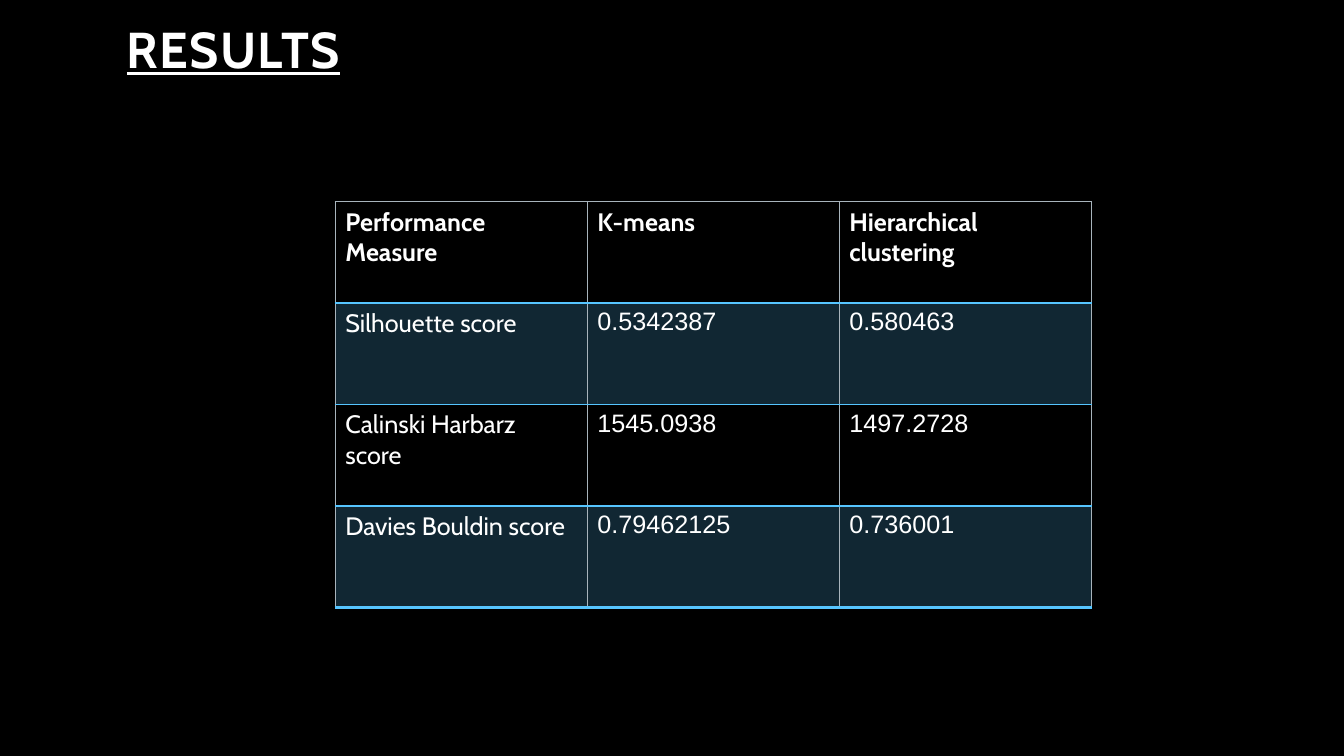
from typing import NamedTuple

from lxml import etree
from pptx import Presentation
from pptx.dml.color import RGBColor
from pptx.enum.text import MSO_ANCHOR, MSO_AUTO_SIZE, PP_ALIGN
from pptx.oxml.ns import qn
from pptx.util import Pt

BLACK = RGBColor(0x00, 0x00, 0x00)
WHITE = RGBColor(0xFF, 0xFF, 0xFF)
SKY = RGBColor(0x56, 0xC5, 0xFF)
SILVER = RGBColor(0xA8, 0xB4, 0xBC)
LEFT, BOTTOM = PP_ALIGN.LEFT, MSO_ANCHOR.BOTTOM
NO_AUTOFIT = MSO_AUTO_SIZE.NONE
TITLE_ONLY = 5
TEXT_FONT, NUMBER_FONT = "Cabin", "Arial"
COL_WIDTH, ROW_HEIGHT = 180, 72.5
BAND_OPACITY = 20


class Score(NamedTuple):
    measure: str
    k_means: str
    hierarchical: str


class Border(NamedTuple):
    side: str
    color: RGBColor
    width: float


HEADER = Score("Performance Measure", "K-means", "Hierarchical clustering")
SCORES = [
    Score("Silhouette score", "0.5342387", "0.580463"),
    Score("Calinski Harbarz score", "1545.0938", "1497.2728"),
    Score("Davies Bouldin score", "0.79462125", "0.736001"),
]


def style_text(tf, font: str, size: float, bold: bool) -> None:
    for p in tf.paragraphs:
        p.alignment = LEFT
        for r in p.runs:
            r.font.name = font
            r.font.size = Pt(size)
            r.font.bold = bold
            r.font.color.rgb = WHITE


def add_border(cell, border: Border) -> None:
    tc_pr = cell._tc.get_or_add_tcPr()
    ln = etree.SubElement(tc_pr, qn(f"a:ln{border.side}"), w=str(Pt(border.width)))
    fill = etree.SubElement(ln, qn("a:solidFill"))
    etree.SubElement(fill, qn("a:srgbClr"), val=str(border.color))


def fill_band(cell) -> None:
    """Give the cell a translucent blue fill."""
    cell.fill.solid()
    cell.fill.fore_color.rgb = SKY
    color = cell._tc.tcPr.find(qn("a:solidFill")).find(qn("a:srgbClr"))
    etree.SubElement(color, qn("a:alpha"), val=str(BAND_OPACITY * 1000))


def row_borders(row: int, last: int) -> list[Border]:
    """Borders in the order the file format asks for: left, right, top, bottom."""
    top = Border("T", SILVER, 1) if row == 0 else Border("T", SKY, 2 if row == 1 else 1)
    bottom = Border("B", SKY, 2 if row in (0, last) else 1)
    return [Border("L", SILVER, 1), Border("R", SILVER, 1), top, bottom]


def add_title(slide, text: str) -> None:
    sp = slide.shapes.title
    sp.left, sp.top, sp.width, sp.height = Pt(83.5), Pt(12.2), Pt(720), Pt(48.2)
    tf = sp.text_frame
    tf.text = text
    tf.auto_size = NO_AUTOFIT
    tf.vertical_anchor = BOTTOM
    tf.paragraphs[0].line_spacing = 0.9
    style_text(tf, TEXT_FONT, 36, True)
    font = tf.paragraphs[0].runs[0].font
    font.underline = True
    font._element.set("spc", "100")


def add_score_table(slide, rows: list[Score]) -> None:
    n_rows, n_cols = len(rows), len(HEADER)
    table = slide.shapes.add_table(
        n_rows, n_cols, Pt(239.5), Pt(144), Pt(COL_WIDTH * n_cols), Pt(ROW_HEIGHT * n_rows)
    ).table
    table.horz_banding = False
    for col in table.columns:
        col.width = Pt(COL_WIDTH)
    for i, score in enumerate(rows):
        table.rows[i].height = Pt(ROW_HEIGHT)
        for j, text in enumerate(score):
            cell = table.cell(i, j)
            cell.text_frame.text = text
            is_number = i > 0 and j > 0
            style_text(cell.text_frame, NUMBER_FONT if is_number else TEXT_FONT, 18, i == 0)
            for border in row_borders(i, n_rows - 1):
                add_border(cell, border)
            if i % 2:
                fill_band(cell)
            else:
                cell.fill.background()


def main() -> None:
    prs = Presentation()
    prs.slide_width, prs.slide_height = Pt(960), Pt(540)
    slide = prs.slides.add_slide(prs.slide_layouts[TITLE_ONLY])
    slide.background.fill.solid()
    slide.background.fill.fore_color.rgb = BLACK
    add_title(slide, "RESULTS")
    add_score_table(slide, [HEADER, *SCORES])
    prs.save("out.pptx")


if __name__ == "__main__":
    main()
